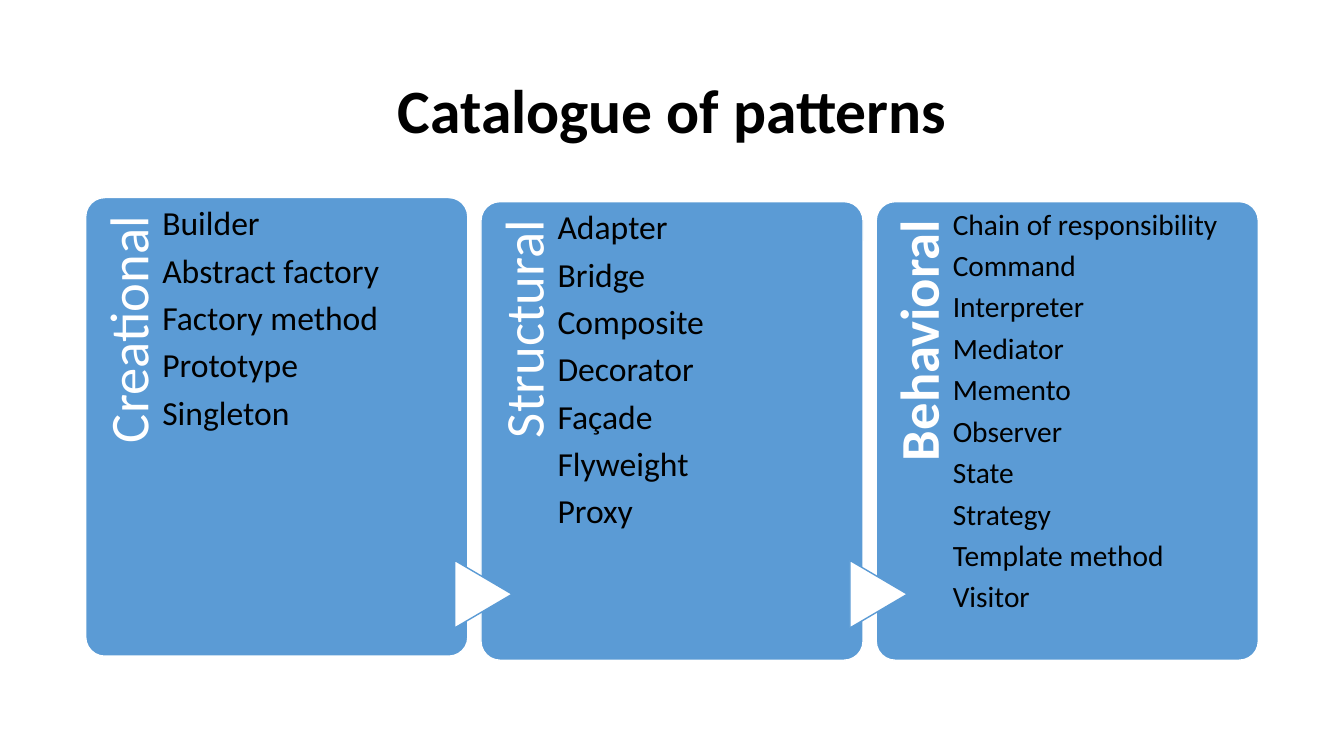
from lxml.etree import SubElement
from pptx import Presentation
from pptx.dml.color import RGBColor
from pptx.enum.shapes import MSO_SHAPE
from pptx.enum.text import MSO_ANCHOR, PP_ALIGN
from pptx.util import Inches, Pt

COLOURS = {"panel": "5B9BD5", "white": "FFFFFF", "black": "000000"}
FONT = "Calibri"
FIRST_LEFT, COLUMN_STEP = 0.85, 3.92
PANEL_WIDTH, PANEL_HEIGHT = 3.79, 4.55
GROUPS = [
    ("Creational", False, 1.96, 24, 0.09,
     ["Builder", "Abstract factory", "Factory method", "Prototype", "Singleton"]),
    ("Structural", False, 2, 24, 0.09,
     ["Adapter", "Bridge", "Composite", "Decorator", "Façade", "Flyweight", "Proxy"]),
    ("Behavioral", True, 2, 21, 0.08,
     ["Chain of responsibility", "Command", "Interpreter", "Mediator", "Memento",
      "Observer", "State", "Strategy", "Template method", "Visitor"]),
]


def colour(name):
    """Return the RGB value of a named colour."""
    return RGBColor.from_string(COLOURS[name])


def add_block(slide, preset, box, fill, line):
    """Add a filled preset shape with a thin outline."""
    block = slide.shapes.add_shape(preset, *map(Inches, box))
    block.shadow.inherit = False
    block.fill.solid()
    block.fill.fore_color.rgb = colour(fill)
    block.line.color.rgb = colour(line)
    block.line.width = Pt(1)
    return block


def add_text(slide, box, lines, size, ink, insets, bold=False,
             align=PP_ALIGN.LEFT, anchor=MSO_ANCHOR.TOP, gap=0.33):
    """Add a text box with one paragraph per line, spaced by a share of the size."""
    label = slide.shapes.add_textbox(*map(Inches, box))
    frame = label.text_frame
    frame.word_wrap = True
    frame.vertical_anchor = anchor
    (frame.margin_left, frame.margin_top,
     frame.margin_right, frame.margin_bottom) = map(Inches, insets)
    frame.text = "\n".join(lines)
    for paragraph in frame.paragraphs:
        paragraph.alignment = align
        paragraph.line_spacing = 0.9
        paragraph.space_after = Pt(size * gap)
        font = paragraph.runs[0].font
        font.name, font.size, font.bold = FONT, Pt(size), bold
        font.color.rgb = colour(ink)
    return label


def add_group(slide, left, top, heading, bold, size, inset, patterns):
    """Add a panel with its sideways heading and list of patterns."""
    panel = add_block(slide, MSO_SHAPE.ROUNDED_RECTANGLE,
                      (left, top, PANEL_WIDTH, PANEL_HEIGHT), "panel", "white")
    panel.adjustments[0] = 0.05
    sideways = add_text(slide, (left - 1.48, top + 1.48, 3.73, 0.76), [heading], 39,
                        "white", (0, 0.15, 0.19, 0), bold, PP_ALIGN.RIGHT)
    sideways.rotation = 270
    add_text(slide, (left + 0.76, top, 2.82, PANEL_HEIGHT), patterns, size,
             "black", (0, inset, 0, 0))


def add_pointer(slide, next_left):
    """Add the triangle that points into the next panel."""
    pointer = add_block(slide, MSO_SHAPE.FLOWCHART_EXTRACT,
                        (next_left - 0.31, 5.61, 0.67, 0.57), "white", "panel")
    pointer.rotation = 90


def main():
    """Build the slide and save it."""
    presentation = Presentation()
    presentation.slide_width, presentation.slide_height = Inches(13.33), Inches(7.5)
    slide = presentation.slides.add_slide(presentation.slide_layouts[6])
    for column, (heading, bold, top, size, inset, patterns) in enumerate(GROUPS):
        left = FIRST_LEFT + column * COLUMN_STEP
        add_group(slide, left, top, heading, bold, size, inset, patterns)
        if column:
            add_pointer(slide, left)
    add_text(slide, (0.92, 0.4, 11.5, 1.45), ["Catalogue of patterns"], 44, "black",
             (0.1, 0.05, 0.1, 0.05), True, PP_ALIGN.CENTER, MSO_ANCHOR.MIDDLE, 0)
    presentation.save("out.pptx")


if __name__ == "__main__":
    main()
